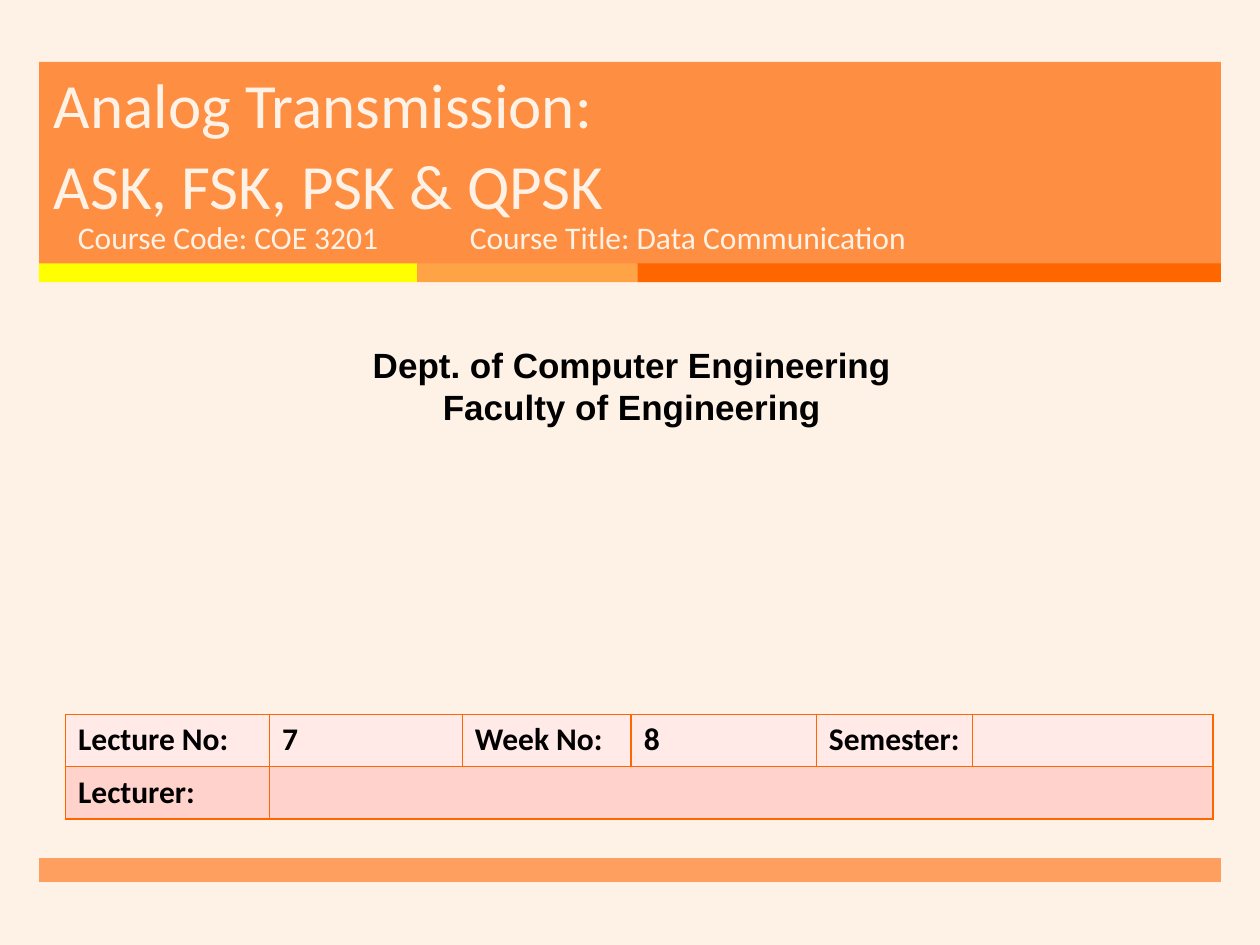
"""Build the title slide of a data communication lecture on a 100 by 75 grid."""
from dataclasses import dataclass
from typing import NamedTuple

import pptx
import pptx.dml.color
import pptx.enum.shapes
import pptx.enum.text
import pptx.oxml
import pptx.oxml.ns
import pptx.util

COLS, ROWS = 100, 75
CELL = pptx.util.Inches(0.1)
ALIGN = pptx.enum.text.PP_ALIGN
ANCHOR = pptx.enum.text.MSO_ANCHOR


@dataclass(frozen=True)
class Theme:
    paper: str = "FEF2E6"
    band: str = "FF7D26"
    yellow: str = "FFFF00"
    amber: str = "FFA347"
    orange: str = "FF6600"
    ink: str = "000000"
    row_fills: tuple[str, ...] = ("FFEAE7", "FFD3CC")
    body_font: str = "Calibri"
    dept_font: str = "Arial"
    title: int = 36
    dept: int = 20
    body: int = 18
    title_leading: int = 46
    border: int = 1


class Box(NamedTuple):
    col: float
    row: float
    cols: float
    rows: float

    def emu(self) -> list[int]:
        return [grid(v) for v in self]


class Bar(NamedTuple):
    box: Box
    color: str
    opacity: int = 100


class Label(NamedTuple):
    box: Box
    lines: tuple[str, ...]
    size: int
    color: str
    font: str
    bold: bool = False
    align: ALIGN = ALIGN.LEFT
    anchor: ANCHOR = ANCHOR.TOP
    leading: int | None = None


T = Theme()
LEFT, WIDTH = 3.1, 93.8
STRIPE_TOP, STRIPE_ROWS = 20.9, 1.5
STRIPES = ((30, T.yellow), (17.5, T.amber), (46.3, T.orange))
BARS = (
    Bar(Box(LEFT, 4.9, WIDTH, 16.1), T.band, 85),
    Bar(Box(LEFT, 68.1, WIDTH, 1.9), T.band, 70),
)
LABELS = (
    Label(Box(3.3, 6.2, 85.4, 11.9), ("Analog Transmission:", "ASK, FSK, PSK & QPSK"),
          T.title, T.paper, T.body_font, anchor=ANCHOR.BOTTOM, leading=T.title_leading),
    Label(Box(5.2, 16.8, 30.5, 5.3), ("Course Code: COE 3201",),
          T.body, T.paper, T.body_font),
    Label(Box(36.3, 16.8, 45.5, 5.3), ("Course Title: Data Communication",),
          T.body, T.paper, T.body_font),
    Label(Box(0.8, 26.8, 98.7, 7.7), ("Dept. of Computer Engineering", "Faculty of Engineering"),
          T.dept, T.ink, T.dept_font, True, ALIGN.CENTER),
)
TABLE_BOX = Box(5.2, 56.7, 91.2, 8.3)
TABLE_COLS = (16.2, 15.3, 13.4, 14.7, 12.4, 19.1)
TABLE_TEXT = (("Lecture No:", "7", "Week No:", "8", "Semester:", ""),
              ("Lecturer:", "", "", "", "", ""))


def grid(units: float) -> int:
    """Turn grid units into EMU."""
    return round(units * CELL)


def rgb(color: str) -> pptx.dml.color.RGBColor:
    """Return a colour object for a hex string."""
    return pptx.dml.color.RGBColor.from_string(color)


def write(p, text: str, size: int, color: str, font: str, bold: bool) -> None:
    """Add one formatted run to a paragraph."""
    r = p.add_run()
    r.text = text
    r.font.size = pptx.util.Pt(size)
    r.font.name = font
    r.font.bold = bold
    r.font.color.rgb = rgb(color)


def draw_bar(s, bar: Bar) -> None:
    """Draw a flat rectangle with optional transparency."""
    sp = s.shapes.add_shape(pptx.enum.shapes.MSO_SHAPE.RECTANGLE, *bar.box.emu())
    sp.shadow.inherit = False
    sp.line.fill.background()
    sp.fill.solid()
    sp.fill.fore_color.rgb = rgb(bar.color)
    if bar.opacity < 100:
        clr = sp._element.spPr.find(".//" + pptx.oxml.ns.qn("a:srgbClr"))
        alpha = clr.makeelement(pptx.oxml.ns.qn("a:alpha"), {"val": str(bar.opacity * 1000)})
        clr.append(alpha)


def draw_label(s, label: Label) -> None:
    """Draw a wrapped text box with one paragraph per line."""
    tf = s.shapes.add_textbox(*label.box.emu()).text_frame
    tf.word_wrap = True
    tf.vertical_anchor = label.anchor
    for i, line in enumerate(label.lines):
        p = tf.add_paragraph() if i else tf.paragraphs[0]
        p.alignment = label.align
        if label.leading:
            p.line_spacing = pptx.util.Pt(label.leading)
        write(p, line, label.size, label.color, label.font, label.bold)


def border_cell(cell) -> None:
    """Put a solid border on all four sides of a cell."""
    tc_pr = cell._tc.get_or_add_tcPr()
    for i, side in enumerate(("lnL", "lnR", "lnT", "lnB")):
        tc_pr.insert(i, pptx.oxml.parse_xml(
            f'<a:{side} {pptx.oxml.ns.nsdecls("a")} w="{pptx.util.Pt(T.border)}">'
            f'<a:solidFill><a:srgbClr val="{T.orange}"/></a:solidFill></a:{side}>'))


def draw_table(s) -> None:
    """Draw the lecture details table."""
    table = s.shapes.add_table(len(TABLE_TEXT), len(TABLE_COLS), *TABLE_BOX.emu()).table
    for column, width in zip(table.columns, TABLE_COLS):
        column.width = grid(width)
    for i, (texts, fill) in enumerate(zip(TABLE_TEXT, T.row_fills)):
        for j, text in enumerate(texts):
            cell = table.cell(i, j)
            cell.fill.solid()
            cell.fill.fore_color.rgb = rgb(fill)
            border_cell(cell)
            p = cell.text_frame.paragraphs[0]
            if text:
                write(p, text, T.body, T.ink, T.body_font, True)
            else:
                p.font.size = pptx.util.Pt(T.body)
    table.cell(1, 1).merge(table.cell(1, len(TABLE_COLS) - 1))


def main() -> None:
    """Build and save the slide."""
    prs = pptx.Presentation()
    prs.slide_width, prs.slide_height = COLS * CELL, ROWS * CELL
    s = prs.slides.add_slide(prs.slide_layouts[6])
    s.background.fill.solid()
    s.background.fill.fore_color.rgb = rgb(T.paper)
    for bar in BARS:
        draw_bar(s, bar)
    col = LEFT
    for width, color in STRIPES:
        draw_bar(s, Bar(Box(col, STRIPE_TOP, width, STRIPE_ROWS), color))
        col += width
    for label in LABELS:
        draw_label(s, label)
    draw_table(s)
    prs.save("out.pptx")


if __name__ == "__main__":
    main()
